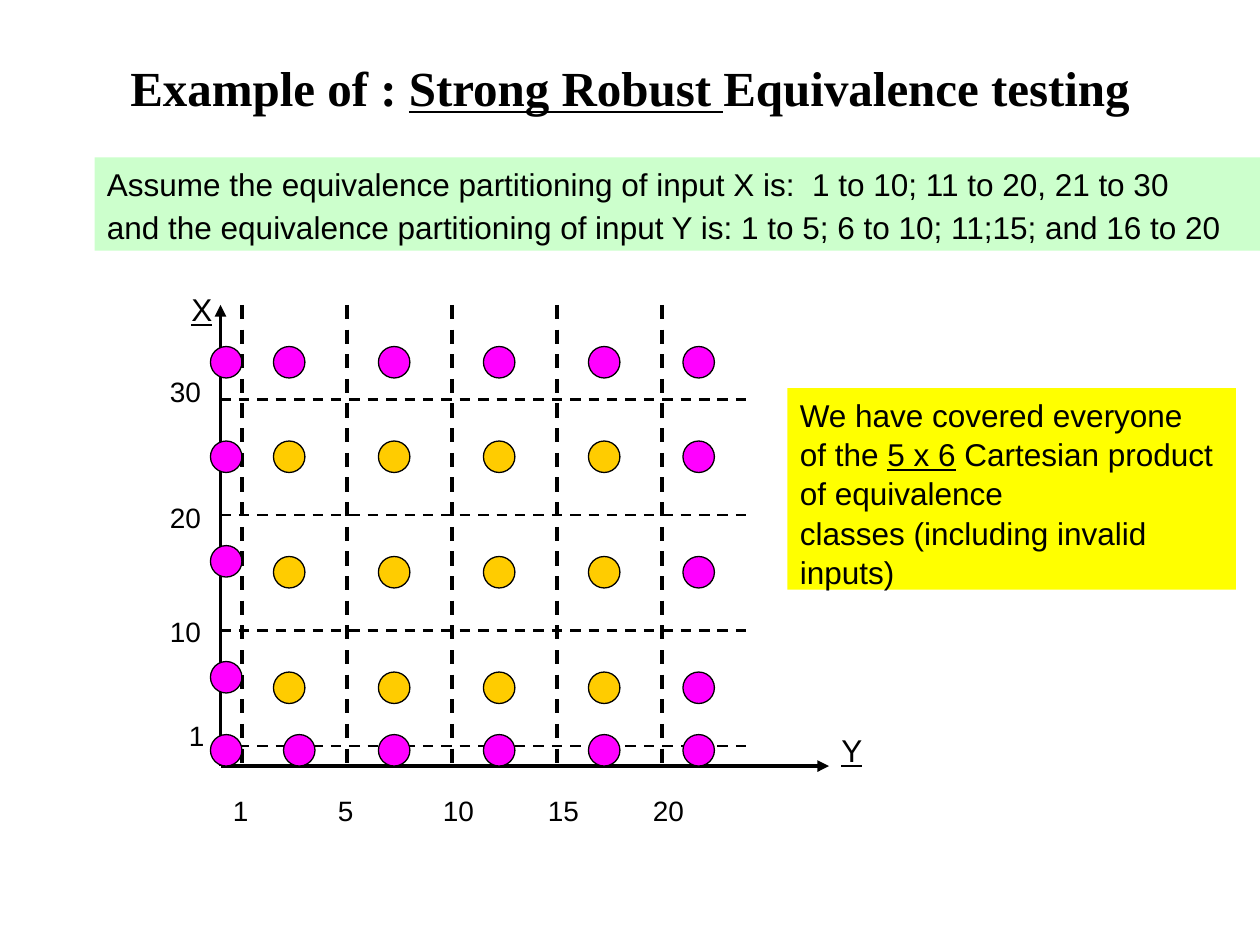
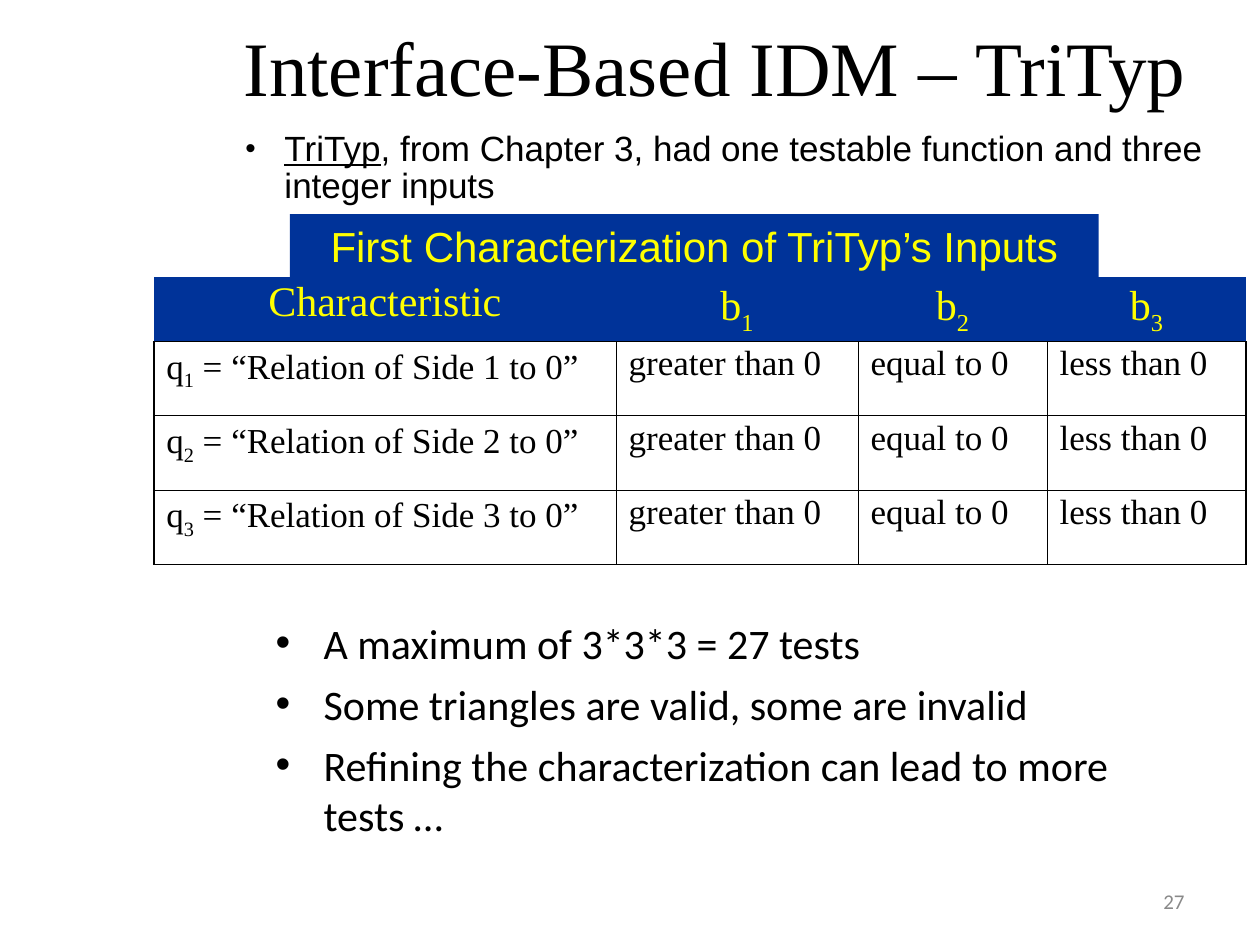
from itertools import product
from typing import NamedTuple

from lxml.etree import SubElement
from pptx import Presentation
from pptx.dml.color import RGBColor
from pptx.enum.dml import MSO_LINE
from pptx.enum.shapes import MSO_CONNECTOR, MSO_SHAPE
from pptx.enum.text import MSO_ANCHOR, MSO_AUTO_SIZE, PP_ALIGN
from pptx.oxml.ns import qn
from pptx.util import Inches, Pt

COLORS = {
    "ink": "000000", "paper": "FFFFFF", "mint": "CCFFCC", "note": "FFFF00",
    "valid": "FFCC00", "invalid": "FF00FF", "navy": "003399", "page": "898989",
}


class Run(NamedTuple):
    text: str
    underline: bool = False
    subscript: bool = False
    size: float | None = None


class Box(NamedTuple):
    left: float
    top: float
    width: float
    height: float

    def lengths(self) -> list:
        return [Inches(value) for value in self]


class Style(NamedTuple):
    size: float
    name: str = "Arial"
    color: str = "ink"
    bold: bool = False
    align: PP_ALIGN = PP_ALIGN.LEFT
    line_spacing: float = 1.0
    space_before: float = 0


class Bullet(NamedTuple):
    indent: float
    percent: int = 100


class Rule(NamedTuple):
    start: tuple[float, float]
    end: tuple[float, float]
    width: float
    dashed: bool = False
    arrow: bool = False


TITLE = Style(28, "Times New Roman", bold=True, align=PP_ALIGN.CENTER)
BODY = Style(18, line_spacing=1.04)
TICK = Style(16)
HEADER = Style(24, "Times New Roman", "note", align=PP_ALIGN.CENTER, line_spacing=0.9)
CELL = Style(20, "Times New Roman", line_spacing=0.9)

Paragraphs = list[list[Run]]


def rgb(color: str) -> RGBColor:
    return RGBColor.from_string(COLORS[color])


def plain(*lines: str) -> Paragraphs:
    return [[Run(line)] for line in lines]


# Text
def add_bullet(paragraph, bullet: Bullet) -> None:
    properties = paragraph._p.get_or_add_pPr()
    properties.set("marL", str(Inches(bullet.indent)))
    properties.set("indent", str(-Inches(bullet.indent)))
    color = SubElement(properties, qn("a:buClr"))
    SubElement(color, qn("a:srgbClr"), val=COLORS["ink"])
    SubElement(properties, qn("a:buSzPct"), val=str(bullet.percent * 1000))
    SubElement(properties, qn("a:buFont"), typeface="Arial")
    SubElement(properties, qn("a:buChar"), char="•")


def write(frame, paragraphs: Paragraphs, style: Style, bullet: Bullet | None = None) -> None:
    for index, runs in enumerate(paragraphs):
        paragraph = frame.add_paragraph() if index else frame.paragraphs[0]
        if bullet:
            add_bullet(paragraph, bullet)
        layout = {
            "alignment": style.align,
            "line_spacing": style.line_spacing,
            "space_before": Pt(style.space_before if index else 0),
        }
        for key, value in layout.items():
            setattr(paragraph, key, value)
        for part in runs:
            run = paragraph.add_run()
            run.text = part.text
            formats = {
                "name": style.name, "size": Pt(part.size or style.size),
                "bold": style.bold, "underline": part.underline,
            }
            for key, value in formats.items():
                setattr(run.font, key, value)
            run.font.color.rgb = rgb(style.color)
            if part.subscript:
                run._r.get_or_add_rPr().set("baseline", "-25000")


def set_frame(frame, wrap: bool = True, anchor: MSO_ANCHOR = MSO_ANCHOR.TOP) -> None:
    formats = {"auto_size": MSO_AUTO_SIZE.NONE, "word_wrap": wrap, "vertical_anchor": anchor}
    for key, value in formats.items():
        setattr(frame, key, value)


def add_title(slide, box: Box, runs: list[Run], style: Style) -> None:
    title = slide.shapes.title
    for key, value in zip(box._fields, box.lengths()):
        setattr(title, key, value)
    set_frame(title.text_frame, anchor=MSO_ANCHOR.MIDDLE)
    write(title.text_frame, [runs], style)


def add_text(slide, box: Box, paragraphs: Paragraphs, style: Style, wrap: bool = True,
             anchor: MSO_ANCHOR = MSO_ANCHOR.TOP, bullet: Bullet | None = None) -> None:
    frame = slide.shapes.add_textbox(*box.lengths()).text_frame
    set_frame(frame, wrap, anchor)
    write(frame, paragraphs, style, bullet)


# Shapes and lines
def add_filled(slide, kind: MSO_SHAPE, box: Box, color: str):
    shape = slide.shapes.add_shape(kind, *box.lengths())
    shape.shadow.inherit = False
    shape.fill.solid()
    shape.fill.fore_color.rgb = rgb(color)
    return shape


def add_panel(slide, box: Box, color: str, paragraphs: Paragraphs, style: Style) -> None:
    panel = add_filled(slide, MSO_SHAPE.RECTANGLE, box, color)
    panel.line.fill.background()
    set_frame(panel.text_frame)
    write(panel.text_frame, paragraphs, style)


def add_dot(slide, left: float, top: float, color: str) -> None:
    dot = add_filled(slide, MSO_SHAPE.OVAL, Box(left, top, 0.25, 0.25), color)
    dot.line.color.rgb = rgb("ink")
    dot.line.width = Pt(0.75)


def add_rule(slide, rule: Rule) -> None:
    ends = [Inches(value) for value in (*rule.start, *rule.end)]
    connector = slide.shapes.add_connector(MSO_CONNECTOR.STRAIGHT, *ends)
    connector.line.color.rgb = rgb("ink")
    connector.line.width = Pt(rule.width)
    if rule.dashed:
        connector.line.dash_style = MSO_LINE.DASH
    if rule.arrow:
        SubElement(connector.line._get_or_add_ln(), qn("a:tailEnd"), type="triangle")
    SubElement(connector._element.spPr, qn("a:effectLst"))


# Table
def set_borders(cell, widths: dict[str, float]) -> None:
    properties = cell._tc.get_or_add_tcPr()
    for side, width in widths.items():
        border = SubElement(properties, qn(f"a:ln{side}"), w=str(Pt(width)))
        if width:
            fill = SubElement(border, qn("a:solidFill"))
            SubElement(fill, qn("a:srgbClr"), val=COLORS["ink"])
        else:
            SubElement(border, qn("a:noFill"))


def add_characteristics(slide) -> None:
    columns, heights = [3.67, 1.92, 1.5, 1.58], [0.51] + [0.59] * 3
    rows = [[[Run("Characteristic")]] + [[Run("b"), Run(str(n), subscript=True)] for n in (1, 2, 3)]]
    for n in (1, 2, 3):
        question = [Run("q"), Run(str(n), subscript=True), Run(f" = “Relation of Side {n} to 0”")]
        rows.append([question] + plain("greater than 0", "equal to 0", "less than 0"))

    box = Box(1.22, 2.2, sum(columns), sum(heights))
    table = slide.shapes.add_table(len(rows), len(columns), *box.lengths()).table
    table.first_row = table.horz_banding = False
    for column, width in zip(table.columns, columns):
        column.width = Inches(width)
    for row, height in zip(table.rows, heights):
        row.height = Inches(height)

    thin, thick = 0.45, 1.08
    for r, c in product(range(len(rows)), range(len(columns))):
        cell = table.cell(r, c)
        if r == 0:
            borders = {"L": 0, "R": 0, "T": 0, "B": thin}
        else:
            borders = {
                "L": thick if c == 0 else thin,
                "R": thick if c == len(columns) - 1 else thin,
                "T": thin,
                "B": thick if r == len(rows) - 1 else thin,
            }
        set_borders(cell, borders)
        cell.fill.solid()
        cell.fill.fore_color.rgb = rgb("paper" if r else "navy")
        write(cell.text_frame, [rows[r][c]], CELL if r else HEADER)


# Slide 1: strong robust equivalence testing
def draw_partition_grid(slide) -> None:
    left, top, bottom = 1.75, 2.42, 6.08
    column_step, row_step = 2.5 / 3, 2.75 / 3

    # Axes and class boundaries
    rules = [Rule((left, bottom), (left, top), 2.25, arrow=True),
             Rule((left, bottom), (6.58, bottom), 2.25, arrow=True)]
    for i in range(4):
        y = 3.17 + i * row_step
        rules.append(Rule((left, y), (5.92, y), 1.5, dashed=True))
    for i in range(5):
        x = 1.92 + i * column_step
        rules.append(Rule((x, top), (x, bottom), 2, dashed=True))
    for rule in rules:
        add_rule(slide, rule)

    # Axis names and boundary values
    for name, x, y in (("X", 1.42, 2.25), ("Y", 6.58, 5.75)):
        add_text(slide, Box(x, y, 0.37, 0.4), [[Run(name, underline=True)]], Style(18), wrap=False)
    ticks = [("1", 1.4, 5.65), ("10", 1.25, 4.83), ("20", 1.25, 3.92), ("30", 1.25, 2.92)]
    ticks += [(value, left + i * column_step, 6.25)
              for i, value in enumerate(("1", "5", "10", "15", "20"))]
    for value, x, y in ticks:
        add_text(slide, Box(x, y, 0.2 + 0.12 * len(value), 0.37), plain(value), TICK, wrap=False)

    # One test per class; the outer ring holds the invalid inputs
    valid_lefts = [2.17 + i * column_step for i in range(4)]
    valid_tops = [3.5 + i * row_step for i in range(3)]
    below, above, before, beyond = 5.83, 2.75, 1.67, 5.42
    for x, y in product(valid_lefts, valid_tops):
        add_dot(slide, x, y, "valid")
    ring = [(x, above) for x in (before, *valid_lefts, beyond)]
    ring += [(x, below) for x in (before, 2.25, *valid_lefts[1:], beyond)]
    ring += [(before, y) for y in (3.5, 4.33, 5.25)]
    ring += [(beyond, y) for y in valid_tops]
    for x, y in ring:
        add_dot(slide, x, y, "invalid")


def build_equivalence_slide(slide) -> None:
    add_title(slide, Box(0.5, 0.3, 9, 0.78), [
        Run("Example of : "), Run("Strong Robust ", underline=True), Run("Equivalence testing"),
    ], TITLE)
    add_panel(slide, Box(0.75, 1.25, 9.25, 0.74), "mint", [
        [Run("Assume the equivalence partitioning of input X is:  1 to 10; 11 to 20, 21 to 30")],
        [Run("and the equivalence partitioning of input Y is: 1 to 5; 6 to 10; 11;15; and 16 to 20"),
         Run(" ", size=20)],
    ], BODY)
    draw_partition_grid(slide)
    add_panel(slide, Box(6.25, 3.08, 3.56, 1.6), "note", [
        [Run("We have covered everyone")],
        [Run("of the "), Run("5 x 6", underline=True), Run(" Cartesian product of equivalence")],
        *plain("classes (including invalid", "inputs)"),
    ], BODY)


# Slide 2: interface-based input domain model
def build_tritype_slide(slide) -> None:
    add_text(slide, Box(7.17, 6.95, 2.33, 0.4), plain("27"),
             Style(12, "Calibri", "page", align=PP_ALIGN.RIGHT), anchor=MSO_ANCHOR.MIDDLE)
    add_title(slide, Box(1.5, -0.03, 8.5, 1.11), [Run("Interface-Based IDM – TriTyp ")],
              TITLE._replace(size=44, bold=False))
    add_text(slide, Box(2.09, 4.85, 7.4, 1.89), plain(
        "A maximum of 3*3*3 = 27 tests",
        "Some triangles are valid, some are invalid",
        "Refining the characterization can lead to more tests …",
    ), Style(24, "Calibri", space_before=6), bullet=Bullet(0.38))
    add_characteristics(slide)
    add_panel(slide, Box(2.3, 1.7, 6.42, 0.5), "navy",
              plain("First Characterization of TriTyp’s Inputs"),
              Style(24, color="note", align=PP_ALIGN.CENTER))
    add_text(slide, Box(1.85, 0.99, 8, 0.93), [[
        Run("TriTyp", underline=True),
        Run(", from Chapter 3, had one testable function and three integer inputs"),
    ]], Style(20, line_spacing=0.9), bullet=Bullet(0.31, 85))


def main() -> None:
    deck = Presentation()
    deck.slide_width, deck.slide_height = Inches(10), Inches(7.5)
    title_only = deck.slide_layouts[5]
    for build in (build_equivalence_slide, build_tritype_slide):
        build(deck.slides.add_slide(title_only))
    deck.save("out.pptx")


if __name__ == "__main__":
    main()
